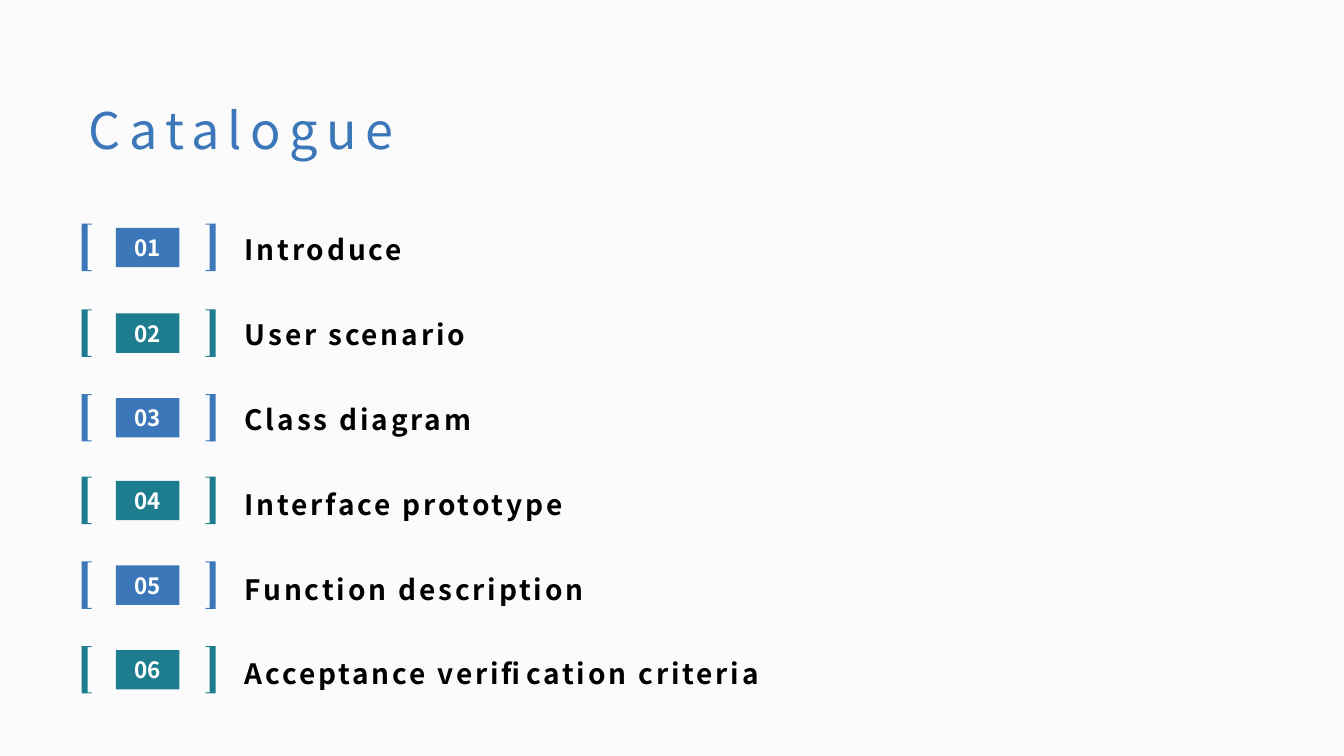
from dataclasses import dataclass

from pptx import Presentation
from pptx.dml.color import RGBColor
from pptx.enum.shapes import MSO_SHAPE as Shape
from pptx.enum.text import MSO_ANCHOR as Anchor, PP_ALIGN as Align
from pptx.util import Inches, Pt


@dataclass(frozen=True)
class Theme:
    """Colours, font and type sizes of the slide."""
    background: str = "FBFBFC"
    blue: str = "3C78B9"
    teal: str = "1D7D8E"
    white: str = "FFFFFF"
    black: str = "000000"
    font: str = "Noto Sans CJK SC"
    title_size: int = 36
    label_size: int = 20
    number_size: int = 16


def write_text(shape, text, *, font, size, color, bold=False, spacing=0,
               align=Align.LEFT, anchor=Anchor.MIDDLE, line_spacing=None):
    """Put one formatted paragraph into a shape."""
    frame = shape.text_frame
    frame.word_wrap = True
    frame.vertical_anchor = anchor
    paragraph = frame.paragraphs[0]
    paragraph.alignment = align
    if line_spacing:
        paragraph.line_spacing = line_spacing
    run = paragraph.add_run()
    run.text = text
    run.font.name = font
    run.font.size = Pt(size)
    run.font.bold = bold
    run.font.color.rgb = RGBColor.from_string(color)
    if spacing:
        run.font._element.set("spc", str(spacing * 100))


class CatalogueSlide:
    """Draws the elements of a catalogue on one slide."""

    def __init__(self, slide, theme):
        """Keep the slide and theme and paint the background."""
        self.slide = slide
        self.theme = theme
        fill = slide.background.fill
        fill.solid()
        fill.fore_color.rgb = RGBColor.from_string(theme.background)

    def paint(self, shape, color):
        """Give a shape a plain fill without line or shadow."""
        shape.shadow.inherit = False
        shape.fill.solid()
        shape.fill.fore_color.rgb = RGBColor.from_string(color)
        shape.line.fill.background()

    def text_box(self, text, left, top, width, height, **style):
        """Add a text box."""
        box = self.slide.shapes.add_textbox(
            Inches(left), Inches(top), Inches(width), Inches(height))
        write_text(box, text, font=self.theme.font, **style)

    def bracket(self, outer, top, direction, color):
        """Add a square bracket opening right (1) or left (-1)."""
        height, depth, stem, tip = 0.47, 0.1, 0.06, 0.01
        outline = [(0, 0), (depth, 0), (depth, tip), (stem, tip),
                   (stem, height - tip), (depth, height - tip),
                   (depth, height), (0, height)]
        points = [(Inches(outer + direction * x), Inches(top + y))
                  for x, y in outline]
        builder = self.slide.shapes.build_freeform(*points[0])
        builder.add_line_segments(points[1:], close=True)
        self.paint(builder.convert_to_shape(), color)

    def number(self, text, left, top, color):
        """Add a filled number tile."""
        tile = self.slide.shapes.add_shape(
            Shape.RECTANGLE, Inches(left), Inches(top), Inches(0.63), Inches(0.39))
        self.paint(tile, color)
        write_text(tile, text, font=self.theme.font, size=self.theme.number_size,
                   color=self.theme.white, bold=True, align=Align.CENTER)

    def entry(self, index, label, marker_top, label_width):
        """Add one numbered line of the catalogue."""
        color = (self.theme.blue, self.theme.teal)[index % 2]
        self.bracket(0.81, marker_top, 1, color)
        self.bracket(2.14, marker_top, -1, color)
        self.number(f"{index + 1:02}", 1.15, marker_top + 0.04, color)
        self.text_box(label, 2.33, 2.13 + 0.842 * index, label_width, 0.62,
                      size=self.theme.label_size, color=self.theme.black,
                      bold=True, spacing=2, line_spacing=1.2)

    def title(self, text):
        """Add the slide heading."""
        self.text_box(text, 0.78, 0.87, 3.6, 0.77, size=self.theme.title_size,
                      color=self.theme.blue, spacing=6, anchor=Anchor.TOP,
                      line_spacing=1.1)


ENTRIES = [
    ("Introduce", 2.22, 3.53),
    ("User scenario", 3.07, 3.53),
    ("Class diagram", 3.91, 3.53),
    ("Interface prototype", 4.73, 3.53),
    ("Function description", 5.57, 4.05),
    ("Acceptance verification criteria", 6.41, 5.94),
]


def main():
    """Build and save the presentation."""
    presentation = Presentation()
    presentation.slide_width = Inches(13.33)
    presentation.slide_height = Inches(7.5)
    slide = presentation.slides.add_slide(presentation.slide_layouts[6])
    catalogue = CatalogueSlide(slide, Theme())
    for index, (label, marker_top, label_width) in enumerate(ENTRIES):
        catalogue.entry(index, label, marker_top, label_width)
    catalogue.title("Catalogue")
    presentation.save("out.pptx")


if __name__ == "__main__":
    main()
